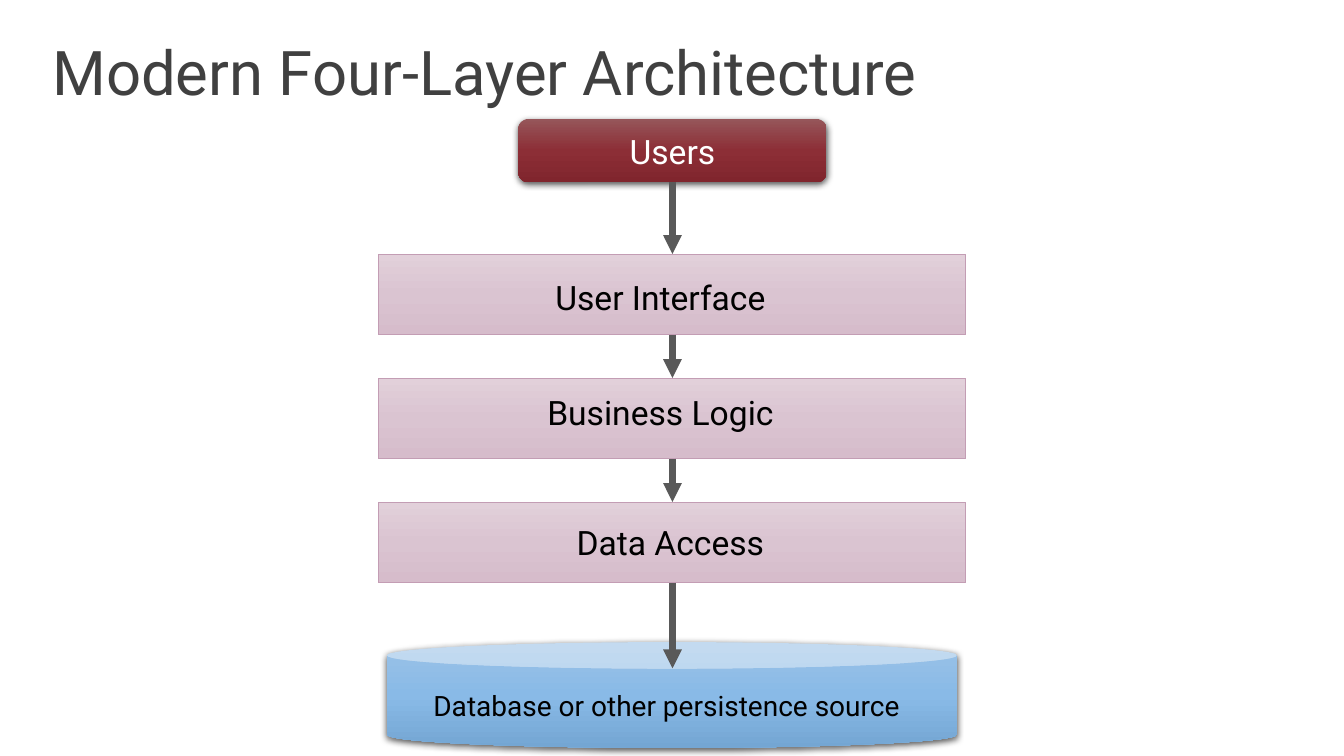
from lxml import etree
from pptx import Presentation
from pptx.dml.color import RGBColor
from pptx.enum.shapes import MSO_CONNECTOR as LINE, MSO_SHAPE as SHAPE
from pptx.enum.text import MSO_ANCHOR as ANCHOR, MSO_AUTO_SIZE as FIT, PP_ALIGN as ALIGN
from pptx.oxml import parse_xml
from pptx.oxml.ns import nsdecls, qn
from pptx.util import Pt

PX = 9144  # 100 px to the inch
FONT = "Roboto"
COLORS = {"title": "404040", "text": "000000", "white": "FFFFFF",
          "arrow": "595959", "layer_line": "C39DB4"}
GRADIENTS = {
    "users": ("96565A", "8C2E36", "80252D"),
    "layer": ("E2D0DA", "DAC4D1", "D6BCCB"),
    "database": ("9BC2E7", "89BAE7", "74A6D3"),
}
CENTER = 667
LAYER_TOP, LAYER_STEP, LAYER_HEIGHT = 252, 123, 80
# label, then its left, top and width
LAYERS = [
    ("User Interface", 541, 270, 234),
    ("Business Logic", 533, 384, 250),
    ("Data Access", 562, 513, 210),
]


def emu(*lengths):
    return [length * PX for length in lengths]


def color(name):
    return RGBColor.from_string(COLORS[name])


def add_span(para, text, size, name):
    span = para.add_run()
    span.text = text
    span.font.name = FONT
    span.font.size = Pt(size)
    span.font.color.rgb = color(name)


def set_gradient(shape, name):
    """Fill from top to bottom with three evenly spaced stops."""
    stops = "".join(
        f'<a:gs pos="{index * 50000}"><a:srgbClr val="{value}"/></a:gs>'
        for index, value in enumerate(GRADIENTS[name]))
    fill = parse_xml(
        f'<a:gradFill {nsdecls("a")} rotWithShape="1"><a:gsLst>{stops}</a:gsLst>'
        '<a:lin ang="5400000" scaled="0"/></a:gradFill>')
    shape._element.spPr.find(qn("a:prstGeom")).addnext(fill)


def add_block(page, kind, at, gradient, line=None, shadow=False):
    box = page.shapes.add_shape(kind, *emu(*at))
    box.shadow.inherit = False
    set_gradient(box, gradient)
    if line:
        box.line.color.rgb = color(line)
        box.line.width = Pt(0.5)
    else:
        box.line.fill.background()
    if shadow:
        effects = box._element.spPr.find(qn("a:effectLst"))
        effects.append(parse_xml(
            f'<a:outerShdw {nsdecls("a")} blurRad="{Pt(4.5)}" dist="{Pt(1.5)}" '
            'dir="5400000" rotWithShape="0"><a:srgbClr val="000000">'
            '<a:alpha val="63000"/></a:srgbClr></a:outerShdw>'))
    return box


def add_arrow(page, top, bottom):
    arrow = page.shapes.add_connector(LINE.STRAIGHT, *emu(CENTER, top, CENTER, bottom))
    arrow.line.color.rgb = color("arrow")
    arrow.line.width = Pt(4.5)
    etree.SubElement(arrow.line._get_or_add_ln(), qn("a:tailEnd"), type="triangle")
    etree.SubElement(arrow._element.spPr, qn("a:effectLst"))


def add_label(page, text, at, size):
    box = page.shapes.add_textbox(*emu(*at))
    box.text_frame.word_wrap = False
    box.text_frame.auto_size = FIT.SHAPE_TO_FIT_TEXT
    add_span(box.text_frame.paragraphs[0], text, size, "text")


def set_title(page, text):
    title = page.shapes.title
    title.left, title.top, title.width, title.height = emu(36, 32, 1255, 98)
    frame = title.text_frame
    frame.word_wrap = True
    frame.auto_size = FIT.NONE
    frame.vertical_anchor = ANCHOR.TOP
    frame.margin_left, frame.margin_right = emu(16, 16)
    frame.margin_top, frame.margin_bottom = emu(10, 10)
    para = frame.paragraphs[0]
    para.alignment = ALIGN.LEFT
    para.line_spacing = 0.9
    add_span(para, text, 44, "title")


def main():
    deck = Presentation()
    deck.slide_width, deck.slide_height = emu(1333, 750)
    page = deck.slides.add_slide(deck.slide_layouts[5])
    set_title(page, "Modern Four-Layer Architecture")

    # Users
    users = add_block(page, SHAPE.ROUNDED_RECTANGLE, (514, 118, 306, 63), "users", shadow=True)
    users.text_frame.vertical_anchor = ANCHOR.MIDDLE
    para = users.text_frame.paragraphs[0]
    para.alignment = ALIGN.CENTER
    add_span(para, "Users", 24, "white")

    # Layers and database
    tops = [LAYER_TOP + LAYER_STEP * index for index in range(len(LAYERS))]
    for top in tops:
        add_block(page, SHAPE.RECTANGLE, (375, top, 583, LAYER_HEIGHT), "layer", "layer_line")
    add_block(page, SHAPE.CAN, (384, 637, 565, 105), "database", shadow=True)

    # Arrows from each part down to the next
    starts = [181] + [top + LAYER_HEIGHT for top in tops]
    for start, end in zip(starts, tops + [663]):
        add_arrow(page, start, end)

    # Labels
    for text, left, top, width in LAYERS:
        add_label(page, text, (left, top, width, 50), 24)
    add_label(page, "Database or other persistence source", (420, 678, 493, 44), 20)

    deck.save("out.pptx")


if __name__ == "__main__":
    main()
